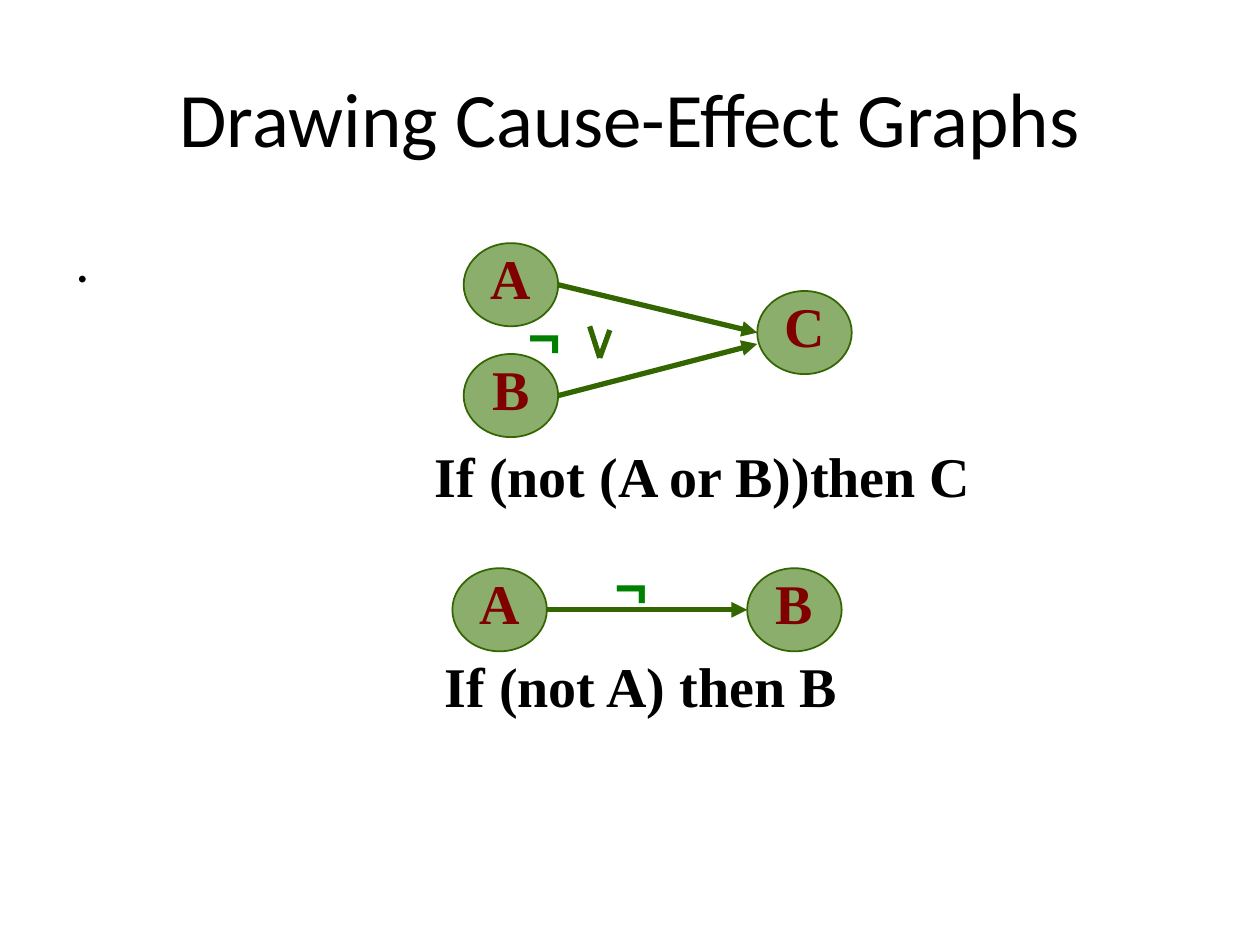
import pptx
import pptx.util
import pptx.dml.color
import pptx.enum.shapes
import pptx.enum.text
import lxml.etree
from pptx.util import Inches

SERIF = "Times New Roman"
GREEN, NODE_FILL, NODE_TEXT, NOT_GREEN = "336600", "8BAE6C", "800000", "008000"
NODE_W, NODE_H = 0.75, 0.66

# key: (letter, left, top)
NODES = {
    "or A": ("A", 3.68, 1.93),
    "or C": ("C", 6.01, 2.31),
    "or B": ("B", 3.68, 2.81),
    "not A": ("A", 3.59, 4.51),
    "not B": ("B", 5.93, 4.51),
}
# cause, effect, drop of the arrow tip below the middle of the effect
ARROWS = [("or A", "or C", 0), ("or B", "or C", 0.09), ("not A", "not B", 0)]

OR_TIP = (4.76, 2.84)
OR_ENDS = [(4.68, 2.59), (4.84, 2.62)]

# text, (left, top, width, height), format
CAPTION = dict(font=SERIF, bold=True, spacing=0.72, side=0.02)
NOT_SIGN = dict(font="Arial", bold=True, color=NOT_GREEN)
TEXTS = [
    ("Drawing Cause-Effect Graphs", (0.5, 0.3, 9, 1.25),
     dict(size=44, align="CENTER", anchor="MIDDLE")),
    (".", (0.5, 1.75, 9, 4.95), {}),
    ("If (not (A or B))then C", (3.43, 3.59, 4.83, 0.63), CAPTION),
    ("If (not A) then B", (3.51, 5.26, 3.66, 0.63), CAPTION),
    ("¬", (4.09, 2.34, 0.58, 0.64), NOT_SIGN),
    ("¬", (4.78, 4.33, 0.49, 0.64), NOT_SIGN),
]


def rgb(value):
    return pptx.dml.color.RGBColor.from_string(value)


def write(shape, text, font="Calibri", size=32, color="000000", bold=False,
          align="LEFT", anchor="TOP", spacing=1.0, side=0.1):
    """Fill a shape with one formatted paragraph; side is the left and right inset."""
    frame = shape.text_frame
    frame.word_wrap = True
    frame.margin_left = frame.margin_right = Inches(side)
    frame.margin_top = frame.margin_bottom = Inches(0.05)
    frame.vertical_anchor = pptx.enum.text.MSO_ANCHOR[anchor]
    paragraph = frame.paragraphs[0]
    paragraph.alignment = pptx.enum.text.PP_ALIGN[align]
    paragraph.line_spacing = spacing
    run = paragraph.add_run()
    run.text = text
    run.font.name = font
    run.font.size = pptx.util.Pt(size)
    run.font.bold = bold
    run.font.color.rgb = rgb(color)


def add_node(slide, letter, left, top):
    node = slide.shapes.add_shape(
        pptx.enum.shapes.MSO_SHAPE.OVAL,
        *map(Inches, (left, top, NODE_W, NODE_H)))
    node.shadow.inherit = False
    node.fill.solid()
    node.fill.fore_color.rgb = rgb(NODE_FILL)
    node.line.color.rgb = rgb(GREEN)
    node.line.width = pptx.util.Pt(1)
    write(node, letter, font=SERIF, color=NODE_TEXT, bold=True,
          align="CENTER", anchor="MIDDLE", spacing=0.72, side=0.02)


def add_line(slide, start, end, arrow=False):
    line = slide.shapes.add_connector(
        pptx.enum.shapes.MSO_CONNECTOR.STRAIGHT, *map(Inches, (*start, *end)))
    line.line.color.rgb = rgb(GREEN)
    line.line.width = pptx.util.Pt(3)
    if arrow:
        lxml.etree.SubElement(line.line._get_or_add_ln(),
                              pptx.oxml.ns.qn("a:tailEnd"), type="triangle")
    lxml.etree.SubElement(line._element.spPr, pptx.oxml.ns.qn("a:effectLst"))


def main():
    deck = pptx.Presentation()
    deck.slide_width, deck.slide_height = Inches(10), Inches(7.5)
    slide = deck.slides.add_slide(deck.slide_layouts[6])

    for node in NODES.values():
        add_node(slide, *node)

    for cause, effect, drop in ARROWS:
        _, cause_left, cause_top = NODES[cause]
        _, effect_left, effect_top = NODES[effect]
        add_line(slide, (cause_left + NODE_W, cause_top + NODE_H / 2),
                 (effect_left, effect_top + NODE_H / 2 + drop), arrow=True)

    for end in OR_ENDS:
        add_line(slide, OR_TIP, end)

    for text, place, style in TEXTS:
        write(slide.shapes.add_textbox(*map(Inches, place)), text, **style)

    deck.save("out.pptx")


if __name__ == "__main__":
    main()
